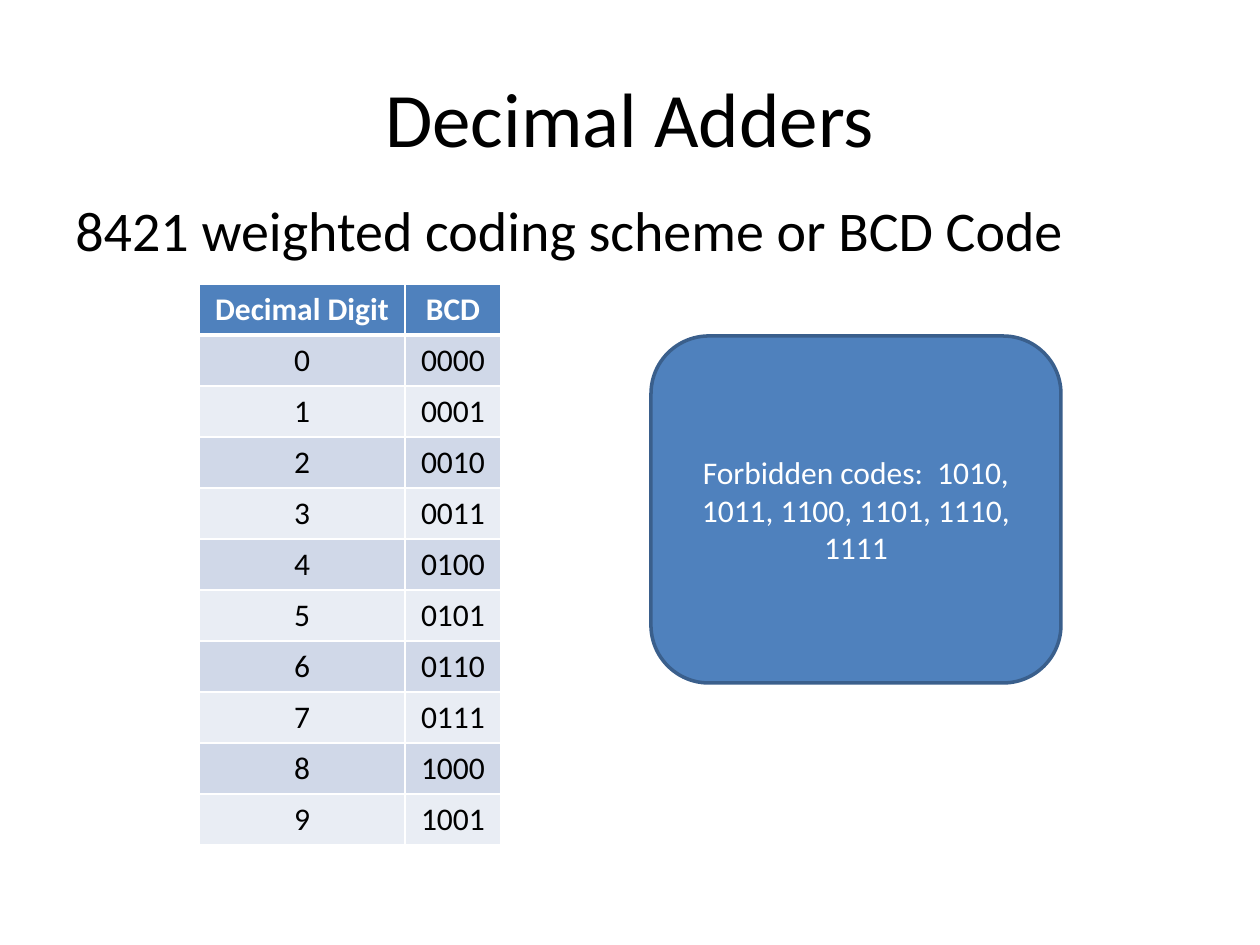
from dataclasses import dataclass

from lxml import etree
from pptx import Presentation
from pptx import util as u
from pptx.dml.color import RGBColor
from pptx.enum import shapes, text
from pptx.oxml.ns import qn


@dataclass(frozen=True)
class Theme:
    font: str = "Calibri"
    title_size: int = 44
    body_size: int = 32
    small_size: int = 18
    black: str = "000000"
    white: str = "FFFFFF"
    blue: str = "4F81BD"
    outline: str = "3A5F8C"
    bands: tuple = ("D0D8E8", "E9EDF4")


T = Theme()
CENTER, LEFT = text.PP_ALIGN.CENTER, text.PP_ALIGN.LEFT
TOP, MIDDLE = text.MSO_ANCHOR.TOP, text.MSO_ANCHOR.MIDDLE


def px(n):
    """126 px to the inch."""
    return u.Emu(round(n * 914400 / 126))


def fill(item, color):
    item.fill.solid()
    item.fill.fore_color.rgb = RGBColor.from_string(color)


def write(tf, words, size, color, align=CENTER, bold=False):
    tf.text = words
    p = tf.paragraphs[0]
    p.alignment = align
    font = p.runs[0].font
    font.name, font.size, font.bold = T.font, u.Pt(size), bold
    font.color.rgb = RGBColor.from_string(color)


def add_text(s, box, words, size, align, anchor):
    tf = s.shapes.add_textbox(*map(px, box)).text_frame
    tf.word_wrap = True
    tf.vertical_anchor = anchor
    write(tf, words, size, T.black, align)


def set_borders(cell, top=1, bottom=1):
    """Draw white cell borders, widths in points."""
    tcPr = cell._tc.get_or_add_tcPr()
    widths = {"lnL": 1, "lnR": 1, "lnT": top, "lnB": bottom}
    for i, (side, width) in enumerate(widths.items()):
        ln = etree.Element(qn(f"a:{side}"), w=str(u.Pt(width)))
        solid = etree.SubElement(ln, qn("a:solidFill"))
        etree.SubElement(solid, qn("a:srgbClr"), val=T.white)
        tcPr.insert(i, ln)


def add_code_table(s, left, top, col_widths, row_height, rows):
    frame = s.shapes.add_table(len(rows), len(col_widths), px(left), px(top),
                               px(sum(col_widths)), px(row_height * len(rows)))
    table = frame.table
    for col, width in zip(table.columns, col_widths):
        col.width = px(width)
    for i, row in enumerate(rows):
        table.rows[i].height = px(row_height)
        header = i == 0
        for j, words in enumerate(row):
            cell = table.cell(i, j)
            write(cell.text_frame, words, T.small_size,
                  T.white if header else T.black, bold=header)
            fill(cell, T.blue if header else T.bands[(i - 1) % 2])
            set_borders(cell, top=3 if i == 1 else 1, bottom=3 if header else 1)


def add_callout(s, box, words):
    sp = s.shapes.add_shape(shapes.MSO_SHAPE.ROUNDED_RECTANGLE, *map(px, box))
    sp.shadow.inherit = False
    fill(sp, T.blue)
    sp.line.color.rgb = RGBColor.from_string(T.outline)
    sp.line.width = u.Pt(2)
    tf = sp.text_frame
    tf.word_wrap = True
    tf.vertical_anchor = MIDDLE
    write(tf, words, T.small_size, T.white)


def main():
    prs = Presentation()
    prs.slide_width, prs.slide_height = u.Inches(10), u.Inches(7.5)
    s = prs.slides.add_slide(prs.slide_layouts[6])

    # Headings
    add_text(s, (63, 38, 1134, 157), "Decimal Adders",
             T.title_size, CENTER, MIDDLE)
    add_text(s, (63, 189, 1134, 624), "8421 weighted coding scheme or BCD Code",
             T.body_size, LEFT, TOP)

    # Each digit with its four-bit code
    rows = [("Decimal Digit", "BCD")] + [(str(n), f"{n:04b}") for n in range(10)]
    add_code_table(s, 199, 284, (206, 96), 51, rows)

    # Codes left unused
    forbidden = ", ".join(f"{n:04b}" for n in range(10, 16))
    add_callout(s, (651, 336, 410, 347), f"Forbidden codes:  {forbidden}")

    prs.save("out.pptx")


if __name__ == "__main__":
    main()
